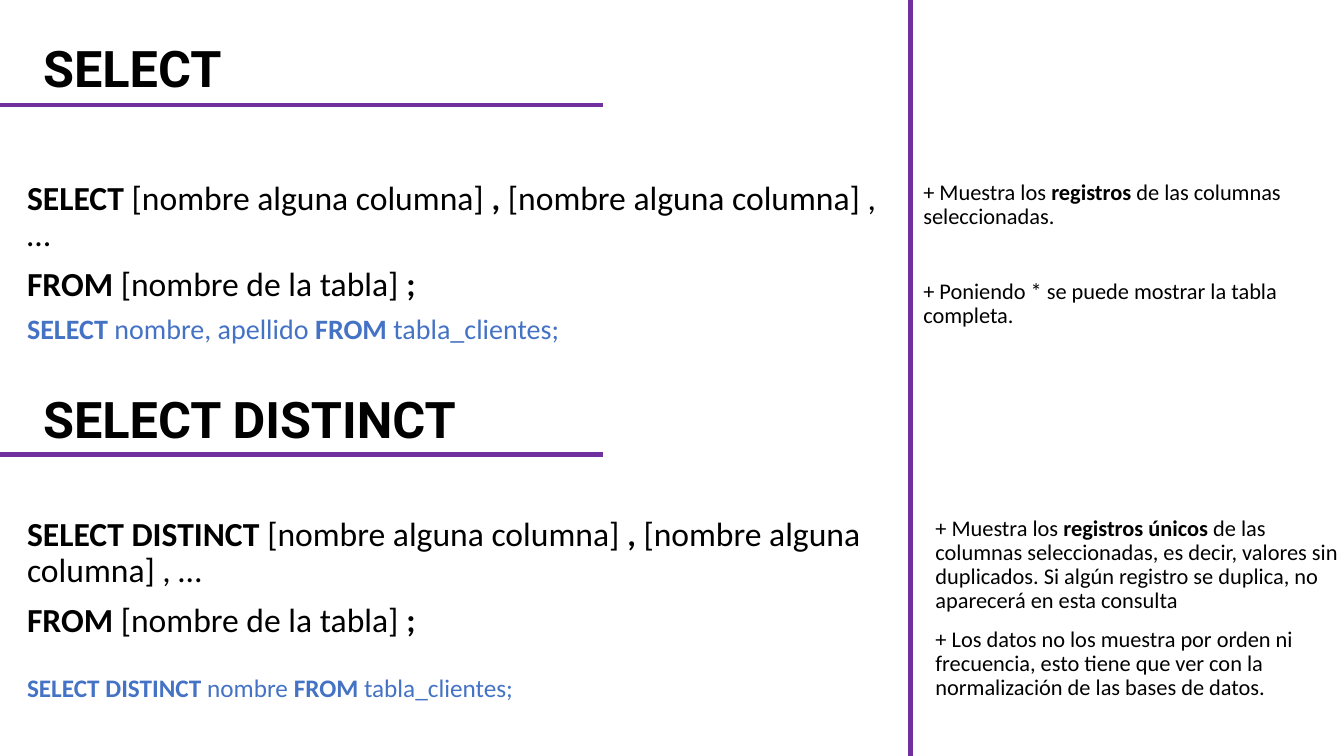
"""Build the SELECT and SELECT DISTINCT reference slide."""
from dataclasses import dataclass

import pptx
import pptx.dml.color
import pptx.enum.shapes
import pptx.enum.text
import pptx.oxml.ns
import pptx.slide
import pptx.util
from lxml import etree

Inches = pptx.util.Inches
Pt = pptx.util.Pt
RGBColor = pptx.dml.color.RGBColor
ANCHOR = pptx.enum.text.MSO_ANCHOR

BLACK = RGBColor(0x00, 0x00, 0x00)
BLUE = RGBColor(0x44, 0x72, 0xC4)
PURPLE = RGBColor(0x70, 0x30, 0xA0)

TITLE = {"name": "Roboto", "size": Pt(36), "color": BLACK}
SYNTAX = {"name": "Calibri", "size": Pt(24), "color": BLACK}
NOTE = {"name": "Calibri", "size": Pt(16), "color": BLACK}
EXAMPLE = {"name": "Calibri", "size": Pt(20), "color": BLUE}
SMALL_EXAMPLE = {**EXAMPLE, "size": Pt(18)}

COLUMNS = "| [nombre alguna columna] |,| [nombre alguna columna] , …"
FROM_TABLE = "|FROM| [nombre de la tabla] |;"


@dataclass
class TextBlock:
    """A text box whose paragraphs switch bold on and off at each bar."""
    left: float
    top: float
    width: float
    height: float
    style: dict
    paragraphs: list[str]
    anchor: ANCHOR = ANCHOR.TOP
    line_spacing: float = 0.9


@dataclass
class Rule:
    """A straight purple line between two points."""
    x1: float
    y1: float
    x2: float
    y2: float


BLOCKS = [
    TextBlock(0.33, 0.3, 10, 0.73, TITLE, ["|SELECT"], ANCHOR.BOTTOM),
    TextBlock(0.17, 1.75, 8.71, 2, SYNTAX, ["|SELECT" + COLUMNS, FROM_TABLE]),
    TextBlock(9.06, 1.75, 4.27, 0.61, NOTE,
              ["+ Muestra los |registros |de las columnas seleccionadas."]),
    TextBlock(0.17, 3.08, 8.71, 0.45, EXAMPLE,
              ["|SELECT| nombre, apellido |FROM |tabla_clientes;"]),
    TextBlock(9.06, 2.73, 4.27, 0.73, NOTE,
              ["+ Poniendo * se puede mostrar la tabla completa."]),
    TextBlock(0.33, 3.78, 10, 0.73, TITLE, ["|SELECT DISTINCT"], ANCHOR.BOTTOM),
    TextBlock(9.18, 5.08, 4.27, 1.25, NOTE,
              ["+ Muestra los |registros únicos |de las columnas seleccionadas, "
               "es decir, valores sin duplicados. Si algún registro se duplica, "
               "no aparecerá en esta consulta"]),
    TextBlock(0.17, 5.08, 8.71, 1.39, SYNTAX,
              ["|SELECT DISTINCT" + COLUMNS, FROM_TABLE]),
    TextBlock(9.18, 6.18, 4.27, 0.89, NOTE,
              ["+ Los datos no los muestra por orden ni frecuencia, esto tiene "
               "que ver con la normalización de las bases de datos."]),
    TextBlock(0.17, 6.62, 6.73, 0.4, SMALL_EXAMPLE,
              ["|SELECT DISTINCT| nombre |FROM |tabla_clientes;"],
              line_spacing=1.0),
]

RULES = [
    Rule(0, 1.04, 5.98, 1.04),
    Rule(9.03, 7.5, 9.03, 0),
    Rule(0, 4.51, 5.98, 4.51),
]


def add_text(s: pptx.slide.Slide, block: TextBlock) -> None:
    """Draw one text block."""
    box = (block.left, block.top, block.width, block.height)
    sp = s.shapes.add_textbox(*map(Inches, box))
    tf = sp.text_frame
    tf.word_wrap = True
    tf.vertical_anchor = block.anchor
    for i, text in enumerate(block.paragraphs):
        p = tf.add_paragraph() if i else tf.paragraphs[0]
        p.line_spacing = block.line_spacing
        if i:
            p.space_before = Pt(10)
        for j, part in enumerate(text.split("|")):
            if part:
                r = p.add_run()
                r.text = part
                format_font(r.font, {**block.style, "bold": j % 2 == 1})


def format_font(font: pptx.text.text.Font, values: dict) -> None:
    """Apply format values to a font."""
    for name, value in values.items():
        if name == "color":
            font.color.rgb = value
        else:
            setattr(font, name, value)


def add_rule(s: pptx.slide.Slide, rule: Rule) -> None:
    """Draw one purple line without a shadow."""
    ends = (rule.x1, rule.y1, rule.x2, rule.y2)
    straight = pptx.enum.shapes.MSO_CONNECTOR.STRAIGHT
    sp = s.shapes.add_connector(straight, *map(Inches, ends))
    sp.line.color.rgb = PURPLE
    sp.line.width = Pt(3)
    etree.SubElement(sp._element.spPr, pptx.oxml.ns.qn("a:effectLst"))


def main() -> None:
    """Create and save the presentation."""
    prs = pptx.Presentation()
    prs.slide_width, prs.slide_height = Inches(13.33), Inches(7.5)
    s = prs.slides.add_slide(prs.slide_layouts[6])
    for rule in RULES:
        add_rule(s, rule)
    for block in BLOCKS:
        add_text(s, block)
    prs.save("out.pptx")


if __name__ == "__main__":
    main()
